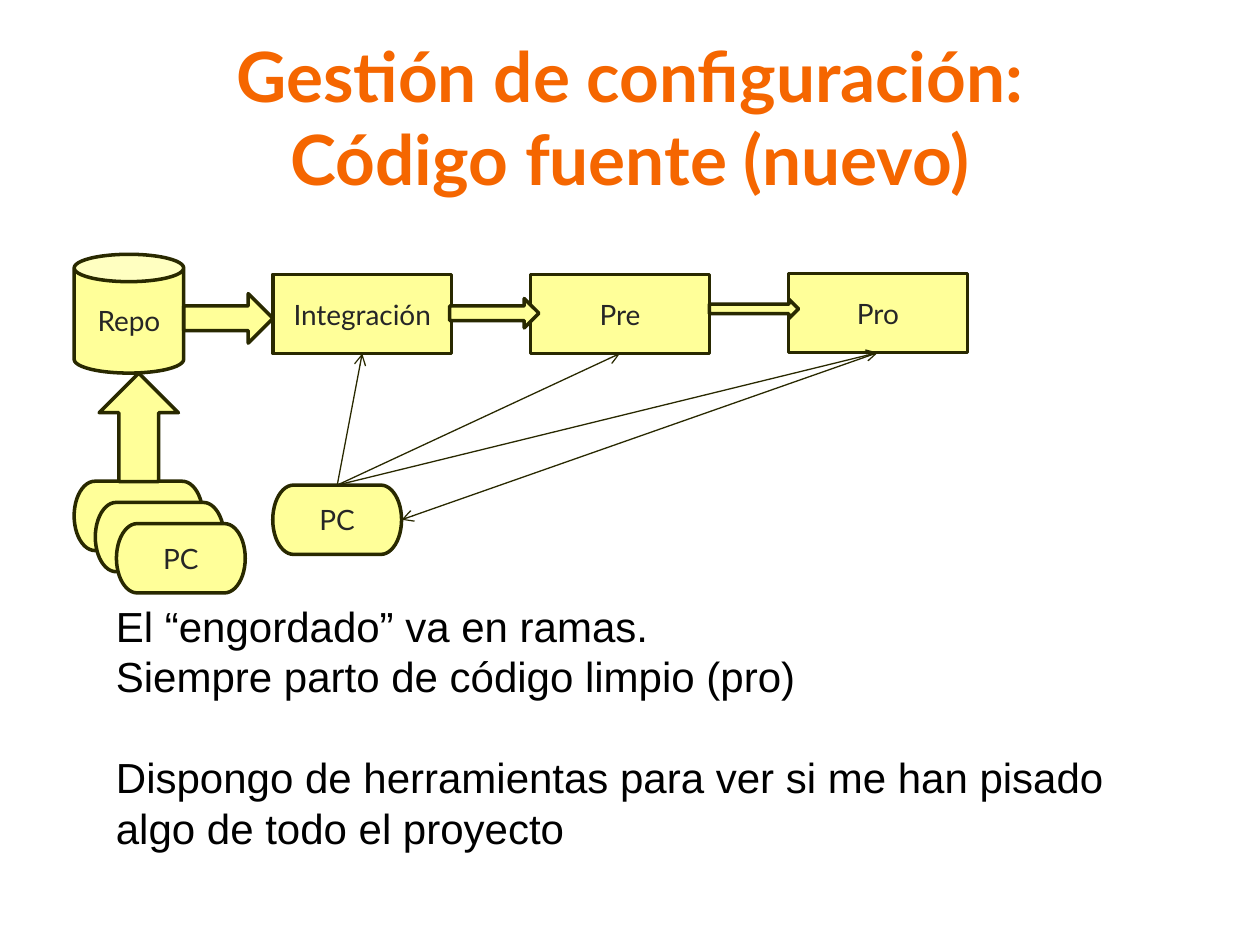
from dataclasses import dataclass

from lxml.etree import SubElement
from pptx import Presentation
from pptx.dml.color import RGBColor
from pptx.enum.shapes import MSO_CONNECTOR, MSO_SHAPE
from pptx.enum.text import MSO_ANCHOR, MSO_AUTO_SIZE, PP_ALIGN
from pptx.oxml.ns import qn
from pptx.shapes.autoshape import Shape
from pptx.slide import Slide
from pptx.util import Pt

ORANGE = RGBColor(0xF5, 0x66, 0x00)
YELLOW = RGBColor(0xFF, 0xFF, 0x99)
OUTLINE = RGBColor(0x29, 0x29, 0x00)
LABEL = RGBColor(0x26, 0x26, 0x26)
BLACK = RGBColor(0x00, 0x00, 0x00)

TOP, RIGHT, BOTTOM = 0, 3, 2
LINE_PITCH = 28.8
STACK_STEP = 12.1


@dataclass(frozen=True)
class Block:
    kind: MSO_SHAPE
    left: float
    top: float
    width: float
    height: float
    label: str = ""


def pc(left: float, top: float) -> Block:
    return Block(MSO_SHAPE.FLOWCHART_TERMINATOR, left, top, 73.6, 39.6, "PC")


def stacked_pc(position: int) -> Block:
    return pc(42.4 + position * STACK_STEP, 275 + position * STACK_STEP)


def stage(left: float, top: float, label: str) -> Block:
    return Block(MSO_SHAPE.RECTANGLE, left, top, 102.2, 45.2, label)


STAGES = [
    stage(155.9, 156.8, "Integración"),
    stage(303.2, 156.8, "Pre"),
    stage(450.6, 156.3, "Pro"),
]
REPOSITORY = Block(MSO_SHAPE.CAN, 42.4, 145.3, 62.6, 67.9, "Repo")
FLOW_ARROWS = [
    Block(MSO_SHAPE.RIGHT_ARROW, 105, 167.8, 51, 28.3),
    Block(MSO_SHAPE.RIGHT_ARROW, 257, 170.6, 51, 16.8),
    Block(MSO_SHAPE.RIGHT_ARROW, 405.3, 171.1, 51, 10.9),
    Block(MSO_SHAPE.UP_ARROW, 56.7, 213.2, 45.3, 62),
]
NOTES = [
    ("El “engordado” va en ramas.", 0),
    ("Siempre parto de código limpio (pro)", 0),
    ("Dispongo de herramientas para ver si me han pisado algo de todo el proyecto", LINE_PITCH),
]


def draw_block(slide: Slide, block: Block) -> Shape:
    shape = slide.shapes.add_shape(
        block.kind, Pt(block.left), Pt(block.top), Pt(block.width), Pt(block.height)
    )
    shape.shadow.inherit = False
    shape.fill.solid()
    shape.fill.fore_color.rgb = YELLOW
    shape.line.color.rgb = OUTLINE
    shape.line.width = Pt(2)
    if block.label:
        shape.text_frame.text = block.label
        shape.text_frame.vertical_anchor = MSO_ANCHOR.MIDDLE
        paragraph = shape.text_frame.paragraphs[0]
        paragraph.alignment = PP_ALIGN.CENTER
        paragraph.font.name = "Lato"
        paragraph.font.size = Pt(16)
        paragraph.font.color.rgb = LABEL
    return shape


def draw_link(slide: Slide, source: Shape, source_side: int, target: Shape, target_side: int) -> None:
    link = slide.shapes.add_connector(MSO_CONNECTOR.STRAIGHT, 0, 0, 0, 0)
    link.begin_connect(source, source_side)
    link.end_connect(target, target_side)
    link.line.color.rgb = OUTLINE
    link.line.width = Pt(0.75)
    properties = link._element.spPr
    SubElement(properties.get_or_add_ln(), qn("a:tailEnd"), type="arrow")
    SubElement(properties, qn("a:effectLst"))


def write_title(slide: Slide) -> None:
    title = slide.shapes.title
    title.left, title.top, title.width, title.height = Pt(36), Pt(21.6), Pt(648), Pt(90)
    title.text_frame.text = "Gestión de configuración:\vCódigo fuente (nuevo)"
    title.text_frame.auto_size = MSO_AUTO_SIZE.NONE
    title.text_frame.vertical_anchor = MSO_ANCHOR.MIDDLE
    heading = title.text_frame.paragraphs[0]
    heading.alignment = PP_ALIGN.CENTER
    heading.font.name = "Lato"
    heading.font.size = Pt(39.6)
    heading.font.bold = True
    heading.font.color.rgb = ORANGE


def write_notes(slide: Slide) -> None:
    frame = slide.shapes.add_textbox(Pt(59.2), Pt(339.6), Pt(612.8), Pt(152.6)).text_frame
    frame.word_wrap = True
    frame.auto_size = MSO_AUTO_SIZE.SHAPE_TO_FIT_TEXT
    for position, (sentence, gap) in enumerate(NOTES):
        paragraph = frame.add_paragraph() if position else frame.paragraphs[0]
        paragraph.text = sentence
        paragraph.line_spacing = Pt(LINE_PITCH)
        paragraph.space_before = Pt(gap)
        paragraph.font.name = "Arial"
        paragraph.font.size = Pt(24)
        paragraph.font.color.rgb = BLACK


def main() -> None:
    presentation = Presentation()
    presentation.slide_width, presentation.slide_height = Pt(720), Pt(540)
    slide = presentation.slides.add_slide(presentation.slide_layouts[5])

    write_title(slide)
    stages = [draw_block(slide, block) for block in STAGES]
    draw_block(slide, REPOSITORY)
    draw_block(slide, stacked_pc(0))
    write_notes(slide)
    for arrow in FLOW_ARROWS:
        draw_block(slide, arrow)

    developer_pc = draw_block(slide, pc(155.9, 277.2))
    draw_link(slide, stages[-1], BOTTOM, developer_pc, RIGHT)
    for environment in stages:
        draw_link(slide, developer_pc, TOP, environment, BOTTOM)

    for position in (1, 2):
        draw_block(slide, stacked_pc(position))

    presentation.save("out.pptx")


if __name__ == "__main__":
    main()
